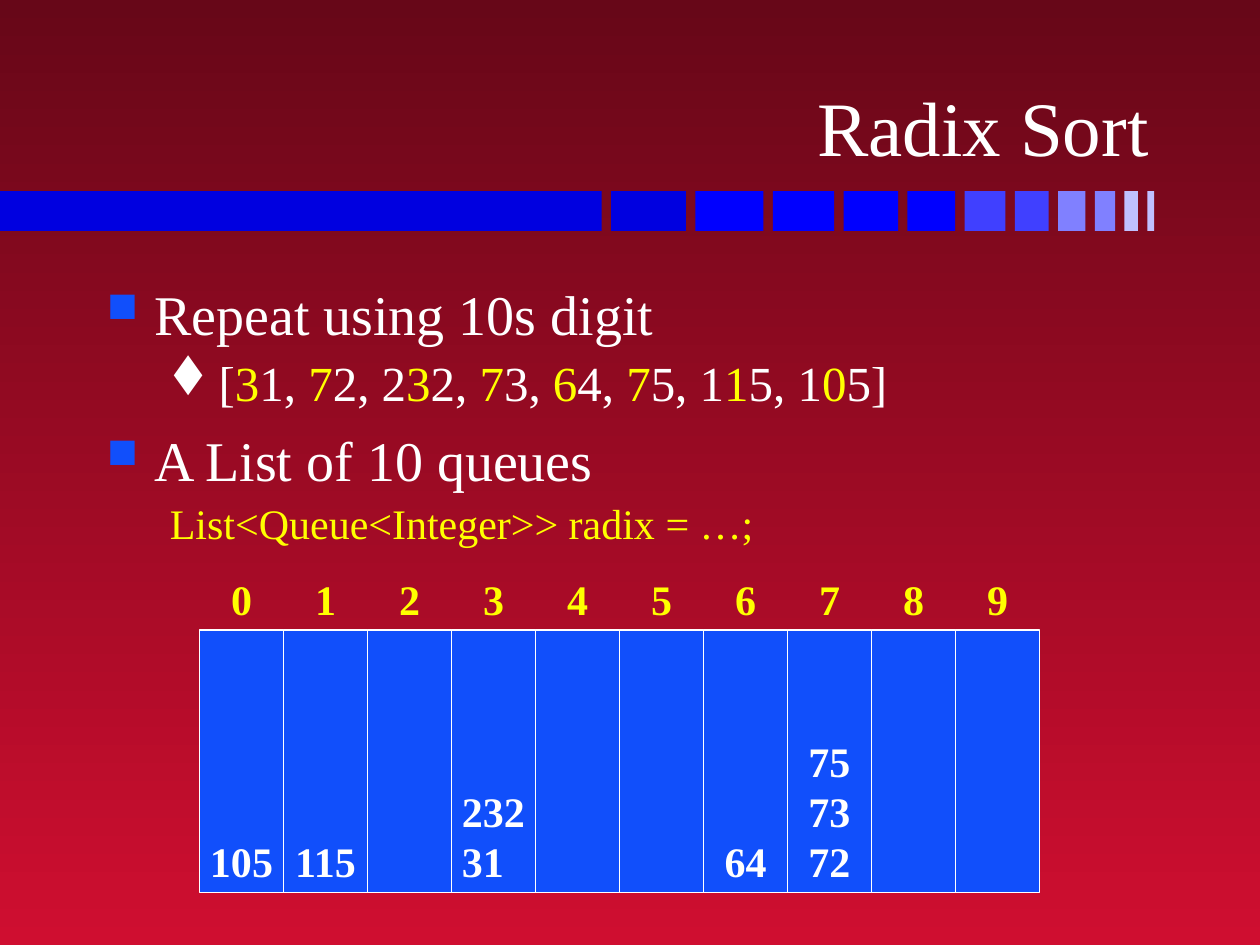
from lxml import etree
from pptx import Presentation
from pptx.dml.color import RGBColor
from pptx.enum.shapes import MSO_SHAPE
from pptx.enum.text import MSO_ANCHOR, MSO_AUTO_SIZE, PP_ALIGN
from pptx.oxml.ns import qn
from pptx.util import Pt

FONT = "Times New Roman"
BULLET_FONT = "Wingdings"
WHITE = RGBColor(0xFF, 0xFF, 0xFF)
YELLOW = RGBColor(0xFF, 0xFF, 0x00)
QUEUE_BLUE = RGBColor(0x11, 0x4F, 0xFB)
BACKGROUND_TOP = RGBColor(0x67, 0x07, 0x18)
BACKGROUND_BOTTOM = RGBColor(0xCF, 0x0E, 0x30)
BAR_DARK = RGBColor(0x00, 0x00, 0xE0)
BAR_BLUE = RGBColor(0x00, 0x00, 0xFF)
BAR_MEDIUM = RGBColor(0x40, 0x40, 0xFF)
BAR_LIGHT = RGBColor(0x80, 0x80, 0xFF)
BAR_PALE = RGBColor(0xC0, 0xC0, 0xFF)

# Contents of each queue, from the back to the front
QUEUES = [["105"], ["115"], [], ["232", "31"], [], [], ["64"],
          ["75", "73", "72"], [], []]


def style_font(font, size, color, bold=False):
    font.name = FONT
    font.size = Pt(size)
    font.bold = bold
    font.color.rgb = color


def add_block(shapes, left, top, width, height, color):
    block = shapes.add_shape(MSO_SHAPE.RECTANGLE, Pt(left), Pt(top), Pt(width), Pt(height))
    block.shadow.inherit = False
    block.fill.solid()
    block.fill.fore_color.rgb = color
    block.line.fill.background()
    return block


def set_bullet(paragraph, character, color, percent):
    properties = paragraph._p.get_or_add_pPr()
    bullet_color = etree.SubElement(properties, qn("a:buClr"))
    etree.SubElement(bullet_color, qn("a:srgbClr"), val=str(color))
    etree.SubElement(properties, qn("a:buSzPct"), val=str(percent * 1000))
    etree.SubElement(properties, qn("a:buFont"), typeface=BULLET_FONT,
                     pitchFamily="2", charset="2")
    etree.SubElement(properties, qn("a:buChar"), char=character)


def set_background(slide):
    fill = slide.background.fill
    fill.gradient()
    fill.gradient_angle = 270
    for stop, color in zip(fill.gradient_stops, (BACKGROUND_TOP, BACKGROUND_BOTTOM)):
        stop.color.rgb = color


def place_title(slide, left, top, width, height):
    title = slide.shapes.title
    title.left, title.top, title.width, title.height = map(Pt, (left, top, width, height))
    frame = title.text_frame
    frame.text = "Radix Sort"
    frame.auto_size = MSO_AUTO_SIZE.NONE
    frame.vertical_anchor = MSO_ANCHOR.BOTTOM
    paragraph = frame.paragraphs[0]
    paragraph.alignment = PP_ALIGN.RIGHT
    style_font(paragraph.font, 44, WHITE)


def add_divider(slide, left, top, height):
    """Draw one long block, then blocks that shrink by an equal step."""
    group = slide.shapes.add_group_shape()
    gap, first_width, step = 5.4, 42.8, 3.9
    colors = ([BAR_DARK] * 2 + [BAR_BLUE] * 4 + [BAR_MEDIUM] * 2
              + [BAR_LIGHT] * 2 + [BAR_PALE] * 2)
    widths = [343.8] + [first_width - step * i for i in range(11)]
    for width, color in zip(widths, colors):
        add_block(group.shapes, left, top, width, height, color)
        left += width + gap


def add_body(slide, left, top, width, height):
    box = slide.shapes.add_textbox(Pt(left), Pt(top), Pt(width), Pt(height))
    frame = box.text_frame
    frame.word_wrap = True
    # Wingdings codes: n is a square, t is a diamond
    square = ("n", QUEUE_BLUE, 75)
    diamond = ("t", WHITE, 100)
    # Between bars, every second piece of text is highlighted
    lines = [
        ("Repeat using 10s digit", 32, WHITE, square, 27, -27, 0),
        ("[|3|1, |7|2, 2|3|2, |7|3, |6|4, |7|5, 1|1|5, 1|0|5]",
         28, WHITE, diamond, 58.5, -22.5, 3.5),
        ("A List of 10 queues", 32, WHITE, square, 27, -27, 8),
        ("List<Queue<Integer>> radix = …;", 24, YELLOW, None, 58.5, -22.5, 3),
    ]
    for number, (text, size, color, bullet, margin, indent, before) in enumerate(lines):
        paragraph = frame.add_paragraph() if number else frame.paragraphs[0]
        properties = paragraph._p.get_or_add_pPr()
        properties.set("marL", str(Pt(margin)))
        properties.set("indent", str(Pt(indent)))
        if bullet:
            set_bullet(paragraph, *bullet)
        paragraph.space_before = Pt(before)
        style_font(paragraph.font, size, color)
        for position, piece in enumerate(text.split("|")):
            run = paragraph.add_run()
            run.text = piece
            if position % 2:
                run.font.color.rgb = YELLOW


def add_queues(slide, left, top, width, height):
    """Draw the digit labels over a row of equal queue cells."""
    label_height, label_width = 36, 26
    cell_width = width / len(QUEUES)
    cell_top = top + label_height
    group = slide.shapes.add_group_shape()
    for digit, values in enumerate(QUEUES):
        cell_left = left + digit * cell_width

        # Queue cell
        cell = add_block(group.shapes, cell_left, cell_top, cell_width,
                         height - label_height, QUEUE_BLUE)
        cell.line.color.rgb = WHITE
        cell.line.width = Pt(1)
        if values:
            frame = cell.text_frame
            frame.text = "\n".join(values)
            frame.word_wrap = False
            frame.vertical_anchor = MSO_ANCHOR.BOTTOM
            # Centre the block of left-aligned lines in the cell
            frame._txBody.bodyPr.set("anchorCtr", "1")
            for paragraph in frame.paragraphs:
                paragraph.alignment = PP_ALIGN.LEFT
                style_font(paragraph.font, 24, WHITE, bold=True)

        # Digit label
        label_left = cell_left + (cell_width - label_width) / 2
        label = slide.shapes.add_textbox(Pt(label_left), Pt(top),
                                         Pt(label_width), Pt(label_height))
        frame = label.text_frame
        frame.text = str(digit)
        frame.word_wrap = False
        paragraph = frame.paragraphs[0]
        paragraph.alignment = PP_ALIGN.CENTER
        style_font(paragraph.font, 24, YELLOW, bold=True)


def main():
    presentation = Presentation()
    presentation.slide_width, presentation.slide_height = Pt(720), Pt(540)
    slide = presentation.slides.add_slide(presentation.slide_layouts[5])
    set_background(slide)
    add_divider(slide, 0, 109.2, 22.8)
    place_title(slide, 53.3, 13.5, 610.5, 88.5)
    add_body(slide, 54, 156, 612, 324)
    add_queues(slide, 114, 324, 480, 186)
    presentation.save("out.pptx")


if __name__ == "__main__":
    main()
